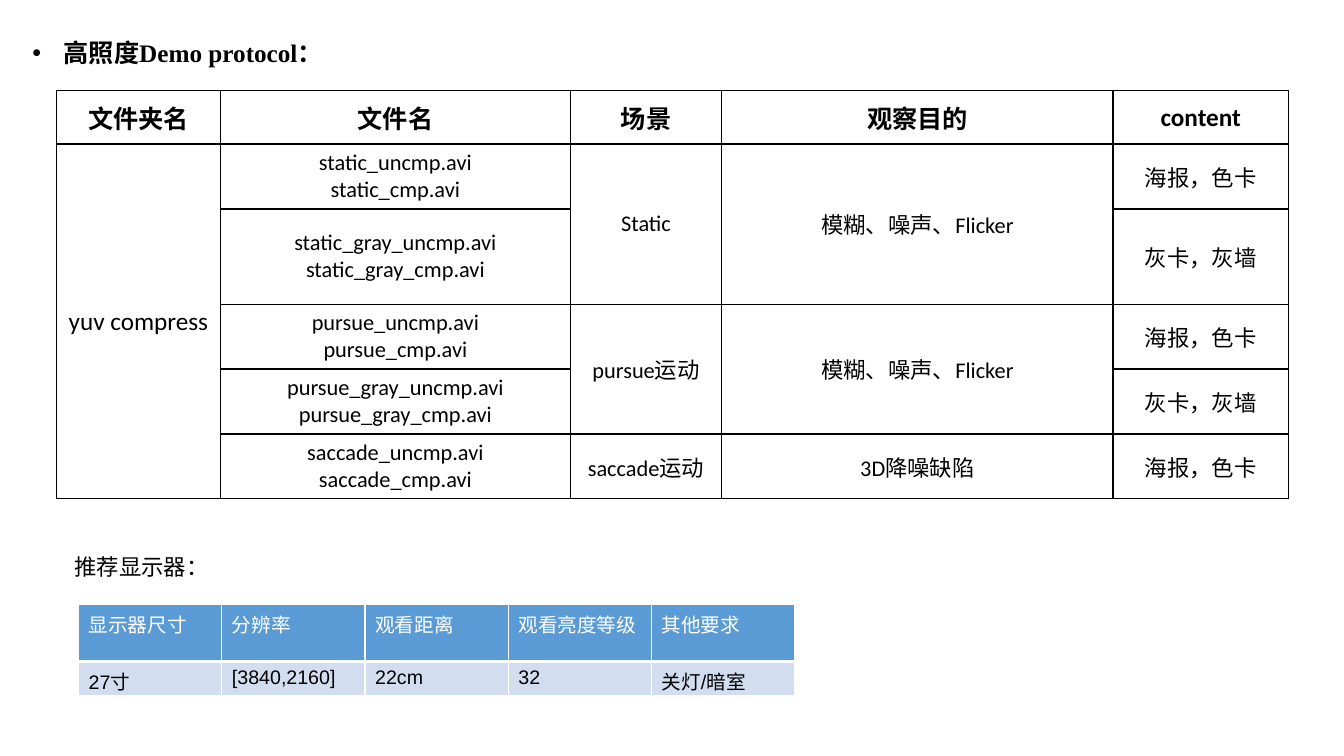
from dataclasses import dataclass

from lxml import etree
from pptx import Presentation
from pptx.dml.color import RGBColor
from pptx.enum.text import MSO_ANCHOR, MSO_AUTO_SIZE, PP_ALIGN
from pptx.oxml.ns import qn
from pptx.util import Cm, Pt

LEFT, CENTER = PP_ALIGN.LEFT, PP_ALIGN.CENTER
TOP, MIDDLE = MSO_ANCHOR.TOP, MSO_ANCHOR.MIDDLE
NO_AUTOFIT = MSO_AUTO_SIZE.NONE
TITLE_ONLY = 5


@dataclass(frozen=True)
class Theme:
    black: str = "000000"
    white: str = "FFFFFF"
    header: str = "5B9BD5"
    band: str = "D2DEEF"
    title_font: str = "Times New Roman"
    body_font: str = "Calibri"
    display_font: str = "Arial"
    large: int = 18
    medium: int = 16
    small: int = 14


THEME = Theme()

PROTOCOL_COLS = (4.14, 8.81, 3.82, 9.86, 4.42)
PROTOCOL_ROWS = (1.34, 1.6, 2.4, 1.6, 1.6, 1.6)
PROTOCOL = (
    ("文件夹名", "文件名", "场景", "观察目的", "content"),
    ("yuv compress", "static_uncmp.avi\nstatic_cmp.avi", "Static",
     "模糊、噪声、Flicker", "海报，色卡"),
    ("", "static_gray_uncmp.avi\nstatic_gray_cmp.avi", "", "", "灰卡，灰墙"),
    ("", "pursue_uncmp.avi\npursue_cmp.avi", "pursue运动",
     "模糊、噪声、Flicker", "海报，色卡"),
    ("", "pursue_gray_uncmp.avi\npursue_gray_cmp.avi", "", "", "灰卡，灰墙"),
    ("", "saccade_uncmp.avi\nsaccade_cmp.avi", "saccade运动",
     "3D降噪缺陷", "海报，色卡"),
)
# (first row, last row, column)
PROTOCOL_MERGES = ((1, 5, 0), (1, 2, 2), (1, 2, 3), (3, 4, 2), (3, 4, 3))

DISPLAY_COLS = (3.61,) * 5
DISPLAY_ROWS = (1.43, 0.87)
DISPLAY = (
    ("显示器尺寸", "分辨率", "观看距离", "观看亮度等级", "其他要求"),
    ("27寸", "[3840,2160]", "22cm", "32", "关灯/暗室"),
)


def set_attrs(obj, values):
    for name, value in values.items():
        setattr(obj, name, value)


def format_text(tf, font, size, color, bold=False, align=LEFT):
    for p in tf.paragraphs:
        p.alignment = align
        for r in p.runs:
            set_attrs(r.font, {"name": font, "size": Pt(size), "bold": bold})
            r.font.color.rgb = RGBColor.from_string(color)


def add_bullet(p, indent):
    pPr = p._p.get_or_add_pPr()
    pPr.set("marL", str(indent))
    pPr.set("indent", str(-indent))
    etree.SubElement(pPr, qn("a:buFont")).set("typeface", THEME.display_font)
    etree.SubElement(pPr, qn("a:buChar")).set("char", "•")


def set_borders(cell, color, bottom=1):
    """Draw 1 pt sides, with a bottom line of the given width in points."""
    tcPr = cell._tc.get_or_add_tcPr()
    widths = {"lnL": 1, "lnR": 1, "lnT": 1, "lnB": bottom}
    for i, (side, width) in enumerate(widths.items()):
        ln = etree.Element(qn(f"a:{side}"), w=str(Pt(width)))
        fill = etree.SubElement(ln, qn("a:solidFill"))
        etree.SubElement(fill, qn("a:srgbClr")).set("val", color)
        tcPr.insert(i, ln)


def add_title(s, text):
    title = s.shapes.title
    set_attrs(title, {"left": Cm(0.56), "top": Cm(0.43),
                      "width": Cm(10.64), "height": Cm(1.45)})
    tf = title.text_frame
    tf.text = text
    set_attrs(tf, {"word_wrap": True, "auto_size": NO_AUTOFIT,
                   "vertical_anchor": TOP})
    p = tf.paragraphs[0]
    add_bullet(p, Cm(0.79))
    set_attrs(p, {"line_spacing": 1.5, "space_before": Pt(0)})
    format_text(tf, THEME.title_font, THEME.large, THEME.black, bold=True)


def add_label(s, text, left, top, width, height):
    tf = s.shapes.add_textbox(Cm(left), Cm(top), Cm(width), Cm(height)).text_frame
    tf.text = text
    tf.word_wrap = True
    format_text(tf, THEME.body_font, THEME.medium, THEME.black)


def add_grid(s, left, top, cols, rows, data):
    """Add a table with its text, free of the default banding."""
    table = s.shapes.add_table(len(rows), len(cols), Cm(left), Cm(top),
                               Cm(sum(cols)), Cm(sum(rows))).table
    set_attrs(table, {"first_row": False, "horz_banding": False})
    for column, width in zip(table.columns, cols):
        column.width = Cm(width)
    for row, height, texts in zip(table.rows, rows, data):
        row.height = Cm(height)
        for cell, text in zip(row.cells, texts):
            cell.text = text
    return table


def add_protocol_table(s):
    table = add_grid(s, 1.42, 2.29, PROTOCOL_COLS, PROTOCOL_ROWS, PROTOCOL)
    for i, row in enumerate(table.rows):
        for j, cell in enumerate(row.cells):
            cell.vertical_anchor = MIDDLE
            cell.fill.background()
            set_borders(cell, THEME.black)
            size = THEME.large if i == 0 or j == 0 else THEME.medium
            format_text(cell.text_frame, THEME.body_font, size, THEME.black,
                        bold=i == 0, align=CENTER)
    for first, last, column in PROTOCOL_MERGES:
        table.cell(first, column).merge(table.cell(last, column))


def add_display_table(s):
    table = add_grid(s, 1.98, 15.24, DISPLAY_COLS, DISPLAY_ROWS, DISPLAY)
    styles = ((THEME.header, THEME.white, 3), (THEME.band, THEME.black, 1))
    for row, (fill, color, bottom) in zip(table.rows, styles):
        for cell in row.cells:
            cell.fill.solid()
            cell.fill.fore_color.rgb = RGBColor.from_string(fill)
            set_borders(cell, THEME.white, bottom)
            format_text(cell.text_frame, THEME.display_font, THEME.small, color)


def main():
    prs = Presentation()
    set_attrs(prs, {"slide_width": Cm(33.87), "slide_height": Cm(19.05)})
    s = prs.slides.add_slide(prs.slide_layouts[TITLE_ONLY])
    add_title(s, "高照度Demo protocol：")
    add_protocol_table(s)
    add_label(s, "推荐显示器：", 1.63, 13.82, 4.17, 0.99)
    add_display_table(s)
    prs.save("out.pptx")


if __name__ == "__main__":
    main()
